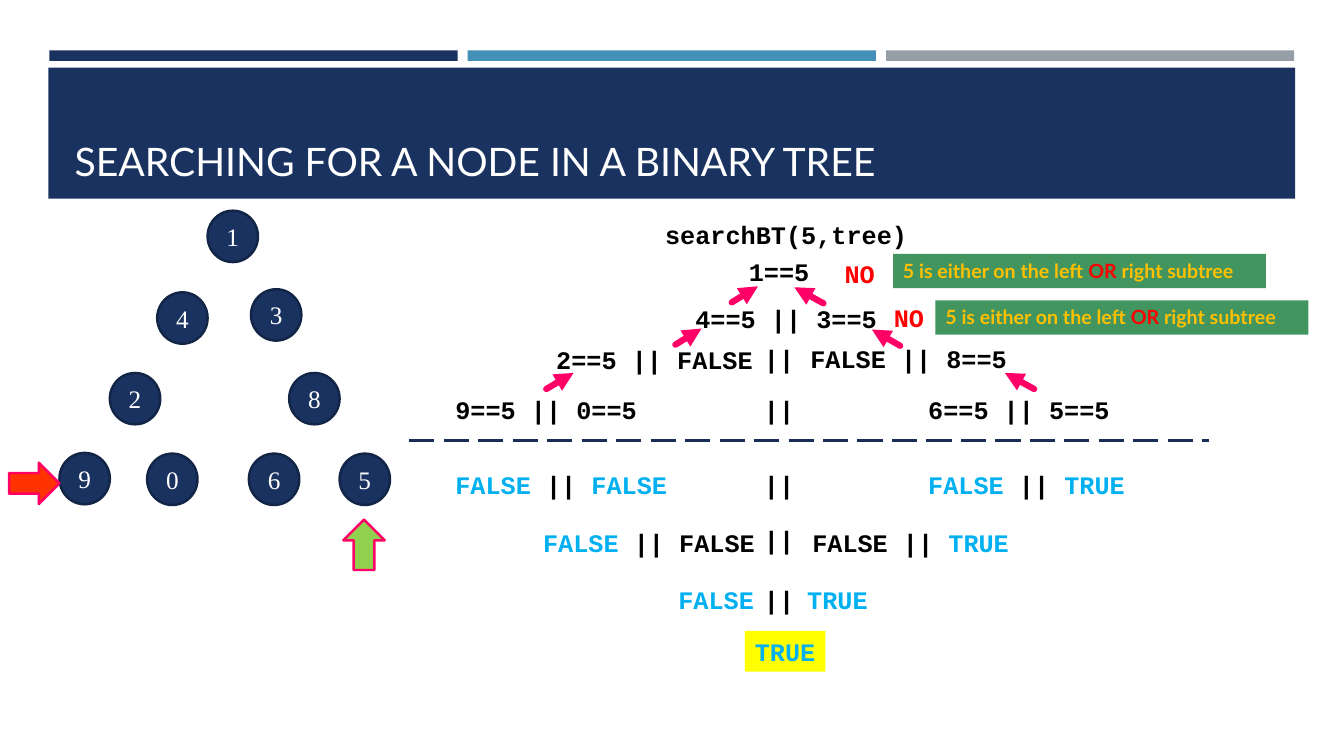
"""Build a slide that traces a search for a node in a binary tree."""
from typing import NamedTuple

from lxml import etree
from pptx import Presentation
from pptx.dml.color import RGBColor
from pptx.enum import dml, shapes, text
from pptx.oxml import ns
from pptx.util import Pt

NAVY = RGBColor(0x1A, 0x32, 0x60)
EDGE = RGBColor(0x13, 0x25, 0x47)
DASH = RGBColor(0x17, 0x2D, 0x56)
BLUE = RGBColor(0x45, 0x90, 0xB8)
GREY = RGBColor(0x96, 0x9F, 0xA7)
WHITE = RGBColor(0xFF, 0xFF, 0xFF)
BLACK = RGBColor(0, 0, 0)
RED = RGBColor(0xFF, 0, 0)
PINK = RGBColor(0xFF, 0, 0x66)
ORANGE = RGBColor(0xFF, 0x33, 0)
LIME = RGBColor(0x92, 0xD0, 0x50)
GREEN = RGBColor(0x42, 0x95, 0x5F)
GOLD = RGBColor(0xFF, 0xC0, 0)
CYAN = RGBColor(0, 0xB0, 0xF0)
YELLOW = RGBColor(0xFF, 0xFF, 0)

SANS, SERIF, MONO = "Lato", "Times New Roman", "Courier New"
CHAR, PAD, ROW = 10.8, 14.4, 29
KIND = shapes.MSO_SHAPE


class Run(NamedTuple):
    """A stretch of text in one colour."""
    text: str
    color: RGBColor = BLACK


class Code(NamedTuple):
    """A line of code and its top left corner."""
    x: float
    y: float
    runs: list[Run]
    fill: RGBColor | None = None


class Node(NamedTuple):
    """A tree node and its top left corner."""
    key: str
    x: float
    y: float


class Link(NamedTuple):
    """A straight line between two points."""
    x1: float
    y1: float
    x2: float
    y2: float


FALSE, TRUE, NO = Run("FALSE", CYAN), Run("TRUE", CYAN), Run("NO", RED)
OR = Run("||")

NODES = [
    Node("1", 148.3, 150.5), Node("4", 112.3, 208.8), Node("3", 179.3, 206.6),
    Node("2", 78.5, 266.4), Node("8", 206.6, 266.4), Node("9", 42.5, 323.5),
    Node("0", 105.1, 324), Node("6", 177.8, 324), Node("5", 242.6, 324),
]

CODES = [
    Code(468, 153.4, [Run("searchBT(5,tree)")]),
    Code(527.8, 179.3, [Run("1==5")]),
    Code(596.2, 180.7, [NO]),
    Code(489.6, 213.1, [Run("4==5 || 3==5")]),
    Code(631.4, 212.4, [NO]),
    Code(390.2, 242.6, [Run("2==5 || FALSE")]),
    Code(571.7, 241.9, [Run("FALSE || 8==5")]),
    Code(318.2, 277.9, [Run("9==5 || 0==5")]),
    Code(655.9, 277.9, [Run("6==5 || 5==5")]),
    Code(318.2, 331.9, [FALSE, Run(" || "), FALSE]),
    Code(655.9, 331.9, [FALSE, Run(" || "), TRUE]),
    Code(380.9, 373, [FALSE, Run(" || FALSE")]),
    Code(573.1, 373, [Run("FALSE || "), TRUE]),
    Code(477.4, 414, [FALSE]),
    Code(569.5, 414, [TRUE]),
    Code(532.1, 450.7, [TRUE], YELLOW),
    *[Code(538.6, y, [OR]) for y in (241.9, 277.9, 331.9, 370.8, 414)],
]

LINKS = [
    Link(738.7, 277.9, 717.8, 266.4), Link(390.2, 277.9, 409.7, 266.4),
    Link(643, 247, 622.8, 235.4), Link(482.4, 246.2, 501.1, 234.7),
    Link(588.2, 216.7, 567.4, 205.2), Link(522.7, 216, 541.4, 204.5),
]

HINT = [Run("5 is either on the left ", GOLD), Run("OR", RED),
        Run(" right subtree", GOLD)]


def write(shape, runs: list[Run], font: str, size: float, bold: bool) -> None:
    """Add the runs to the first paragraph."""
    para = shape.text_frame.paragraphs[0]
    for item in runs:
        run = para.add_run()
        run.text = item.text
        run.font.name, run.font.size, run.font.bold = font, Pt(size), bold
        run.font.color.rgb = item.color


def paint(shape, color: RGBColor) -> None:
    """Give the shape a solid fill."""
    shape.fill.solid()
    shape.fill.fore_color.rgb = color


def form(kind, x: float, y: float, wide: float, high: float,
         fill: RGBColor, edge: RGBColor | None = None):
    """Draw a preset shape with an optional outline."""
    shape = slide.shapes.add_shape(kind, Pt(x), Pt(y), Pt(wide), Pt(high))
    shape.shadow.inherit = False
    paint(shape, fill)
    if edge is None:
        shape.line.fill.background()
    else:
        shape.line.color.rgb, shape.line.width = edge, Pt(1.75)
    return shape


def label(x: float, y: float, wide: float, high: float, runs: list[Run],
          font: str, size: float, fill: RGBColor | None, wrap: bool) -> None:
    """Draw a bold text box with an optional fill."""
    box = slide.shapes.add_textbox(Pt(x), Pt(y), Pt(wide), Pt(high))
    box.text_frame.word_wrap = wrap
    if fill is not None:
        paint(box, fill)
    write(box, runs, font, size, True)


def code(item: Code) -> None:
    """Draw a line of code in a box as wide as its text."""
    wide = CHAR * sum(len(run.text) for run in item.runs) + PAD
    label(item.x, item.y, wide, ROW, item.runs, MONO, 18, item.fill, False)


def node(item: Node) -> None:
    """Draw a tree node with its key."""
    disc = form(KIND.OVAL, item.x, item.y, 36, 36.7, NAVY, EDGE)
    disc.text_frame.vertical_anchor = text.MSO_ANCHOR.MIDDLE
    disc.text_frame.paragraphs[0].alignment = text.PP_ALIGN.CENTER
    write(disc, [Run(item.key, WHITE)], SERIF, 18, False)


def rule(item: Link, color: RGBColor, width: float):
    """Draw a straight line without a shadow."""
    line = slide.shapes.add_connector(
        shapes.MSO_CONNECTOR.STRAIGHT, *map(Pt, item))
    line.line.color.rgb, line.line.width = color, Pt(width)
    etree.SubElement(line._element.spPr, ns.qn("a:effectLst"))
    return line


def arrow(item: Link) -> None:
    """Draw a round-capped arrow from a result to its caller."""
    stroke = rule(item, PINK, 4.5).line._get_or_add_ln()
    stroke.set("cap", "rnd")
    etree.SubElement(stroke, ns.qn("a:tailEnd"), type="triangle")


deck = Presentation()
deck.slide_width, deck.slide_height = Pt(960), Pt(540)
slide = deck.slides.add_slide(deck.slide_layouts[5])

for step, tone in enumerate((NAVY, BLUE, GREY)):
    form(KIND.RECTANGLE, 35.3 + step * 298.8, 36, 291.6, 7.5, tone)
band = form(KIND.RECTANGLE, 34.6, 48.4, 890.6, 93.6, NAVY)

title = slide.shapes.title
title.left, title.top, title.width, title.height = map(
    Pt, (46.1, 55.4, 868.3, 79.9))
title.text_frame.vertical_anchor = text.MSO_ANCHOR.BOTTOM
title.text_frame.paragraphs[0].alignment = text.PP_ALIGN.LEFT
write(title, [Run("SEARCHING FOR A NODE IN A BINARY TREE", WHITE)],
      SANS, 28, False)
band._element.addnext(title._element)

for item in NODES:
    node(item)
form(KIND.RIGHT_ARROW, 6.5, 330.5, 36, 29.5, ORANGE, PINK)
found = form(KIND.RIGHT_ARROW, 242, 374.4, 36, 29.5, LIME, PINK)
found.rotation = 270

for x, y in ((637.9, 181.4), (668.2, 214.6)):
    label(x, y, 266.4, 24.5, HINT, SANS, 14, GREEN, True)
for item in CODES:
    code(item)
for item in LINKS:
    arrow(item)
split = rule(Link(292.3, 314.6, 863.3, 314.6), DASH, 2.25)
split.line.dash_style = dml.MSO_LINE.LONG_DASH

deck.save("out.pptx")
